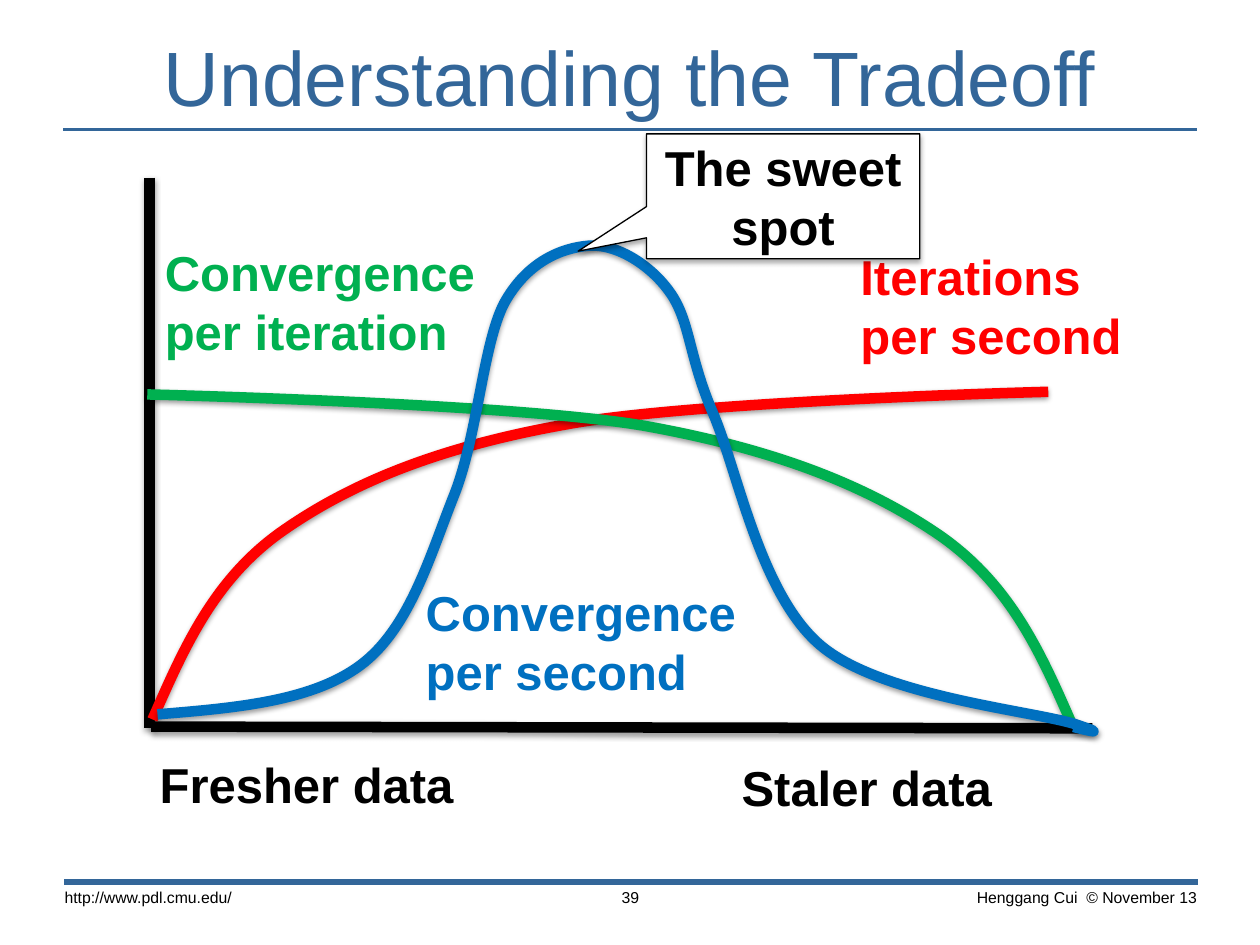
"""Builds the slide about the tradeoff between fresh and stale data."""
from dataclasses import dataclass
from typing import Optional

from lxml.etree import SubElement
from pptx import Presentation
from pptx.dml.color import RGBColor
from pptx.enum.shapes import MSO_CONNECTOR, MSO_SHAPE
from pptx.enum.text import MSO_ANCHOR, PP_ALIGN
from pptx.oxml.ns import qn
from pptx.util import Pt

STEEL = RGBColor(0x33, 0x66, 0x99)
BLACK = RGBColor(0, 0, 0)
WHITE = RGBColor(0xFF, 0xFF, 0xFF)
RED = RGBColor(0xFF, 0, 0)
GREEN = RGBColor(0, 0xB0, 0x50)
BLUE = RGBColor(0, 0x70, 0xC0)
FONT = "Arial"

Point = tuple[float, float]


@dataclass
class Rule:
    start: Point
    end: Point
    color: RGBColor
    weight: float
    shadow_opacity: int = 0


@dataclass
class Curve:
    color: RGBColor
    start: Point
    segments: list[tuple[Point, Point, Point]]


@dataclass
class Label:
    text: str
    left: float
    top: float
    width: float
    height: float
    color: RGBColor = BLACK
    size: float = 28
    bold: bool = True
    align: PP_ALIGN = PP_ALIGN.LEFT
    side_inset: float = 7.2
    end_inset: float = 3.6
    wrap: bool = False


def footer(text: str, left: float, width: float, height: float, align: PP_ALIGN) -> Label:
    """Describe one small text below the lower rule."""
    return Label(text, left, 503.1, width, height, size=9, bold=False, align=align,
                 side_inset=7.9, end_inset=4.3, wrap=True)


RULES = [
    Rule((36, 74), (684, 74), STEEL, 2),
    Rule((36.7, 503.8), (684.7, 503.8), STEEL, 3.5),
    Rule((85.5, 101.5), (85.5, 416.2), BLACK, 6, 38),
    Rule((624.2, 416.2), (86.4, 415.2), BLACK, 6, 38),
]

CURVES = [
    Curve(RED, (87.1, 411.1), [
        ((104.4, 372.2), (121, 332.6), (159.8, 304.6)),
        ((199.4, 276.5), (249.8, 255.6), (323.3, 242.6)),
        ((396.7, 229), (599, 223.9), (599, 223.9)),
    ]),
    Curve(GREEN, (612, 412.6), [
        ((594.7, 373), (577.4, 334.1), (537.1, 306)),
        ((496.1, 277.9), (444.2, 257), (368.6, 243.4)),
        ((293, 230.4), (84.2, 225.4), (84.2, 225.4)),
    ]),
    Curve(BLUE, (90, 408.2), [
        ((133.9, 404.6), (177.8, 401), (205.9, 380.2)),
        ((234, 359.3), (245.5, 318.2), (259.2, 283.7)),
        ((272.9, 249.8), (275.8, 197.3), (288, 173.5)),
        ((301, 149.8), (320.4, 141.8), (336.2, 140.4)),
        ((351.4, 139), (370.8, 150.5), (382.3, 166.3)),
        ((394.6, 182.9), (393.1, 203), (407.5, 236.2)),
        ((421.9, 270), (434.2, 339.1), (468.7, 368.6)),
        ((503.3, 398.2), (590.4, 406.1), (614.9, 414)),
        ((638.6, 421.9), (613.4, 415.4), (613.4, 415.4)),
    ]),
]

LABELS = [
    footer("Henggang Cui  © November 13", 508.9, 182.9, 30.2, PP_ALIGN.RIGHT),
    footer("http://www.pdl.cmu.edu/", 29, 180, 30.2, PP_ALIGN.LEFT),
    footer("39", 290, 140.4, 16.6, PP_ALIGN.CENTER),
    Label("Fresher data", 84.2, 427.7, 184.3, 41),
    Label("Staler data", 416.7, 429.1, 159.1, 41),
    Label("Iterations\nper second", 484.6, 137.5, 165.6, 74.9, RED),
    Label("Convergence\nper iteration", 87.1, 134.9, 193.7, 74.9, GREEN),
    Label("Convergence\nper second", 236.2, 329.3, 201.6, 74.9, BLUE),
]


def set_shadow(shape, opacity: int) -> None:
    """Give the shape a soft downward shadow, or none at zero opacity."""
    effects = SubElement(shape.element.spPr, qn("a:effectLst"))
    if opacity:
        shadow = SubElement(effects, qn("a:outerShdw"), blurRad=str(Pt(3.1)),
                            dist=str(Pt(1.6)), dir="5400000", rotWithShape="0")
        tint = SubElement(shadow, qn("a:srgbClr"), val=str(BLACK))
        SubElement(tint, qn("a:alpha"), val=str(opacity * 1000))


def set_line(shape, color: RGBColor, weight: float) -> None:
    """Set the colour and weight of an outline."""
    shape.line.color.rgb = color
    shape.line.width = Pt(weight)


def format_text(frame, color: RGBColor, size: float, bold: bool,
                align: Optional[PP_ALIGN]) -> None:
    """Format every paragraph and run in the frame."""
    for para in frame.paragraphs:
        para.alignment = align
        for span in para.runs:
            span.font.name = FONT
            span.font.size = Pt(size)
            span.font.bold = bold
            span.font.color.rgb = color


def draw_rule(page, rule: Rule) -> None:
    """Draw a straight line."""
    ends = [Pt(value) for value in (*rule.start, *rule.end)]
    line = page.shapes.add_connector(MSO_CONNECTOR.STRAIGHT, *ends)
    set_line(line, rule.color, rule.weight)
    set_shadow(line, rule.shadow_opacity)


def draw_curve(page, curve: Curve) -> None:
    """Draw an open curve of cubic segments with a shadow."""
    builder = page.shapes.build_freeform(Pt(curve.start[0]), Pt(curve.start[1]))
    ends = [(Pt(x), Pt(y)) for _, _, (x, y) in curve.segments]
    builder.add_line_segments(ends, close=False)
    shape = builder.convert_to_shape()
    straights = list(shape.element.spPr.iter(qn("a:lnTo")))
    for straight, segment in zip(straights, curve.segments):
        bend = SubElement(straight.getparent(), qn("a:cubicBezTo"))
        for x, y in segment:
            SubElement(bend, qn("a:pt"), x=str(Pt(x) - shape.left), y=str(Pt(y) - shape.top))
        straight.getparent().remove(straight)
    shape.fill.background()
    set_line(shape, curve.color, 6)
    set_shadow(shape, 38)


def draw_label(page, label: Label) -> None:
    """Draw a text box."""
    box = page.shapes.add_textbox(Pt(label.left), Pt(label.top), Pt(label.width), Pt(label.height))
    frame = box.text_frame
    frame.word_wrap = label.wrap
    frame.margin_left = frame.margin_right = Pt(label.side_inset)
    frame.margin_top = frame.margin_bottom = Pt(label.end_inset)
    frame.text = label.text
    format_text(frame, label.color, label.size, label.bold, label.align)


def draw_callout(page) -> None:
    """Draw the callout that points at the peak."""
    callout = page.shapes.add_shape(MSO_SHAPE.RECTANGULAR_CALLOUT,
                                    Pt(369.4), Pt(76.5), Pt(156.2), Pt(71.3))
    callout.adjustments[0] = -0.75
    callout.adjustments[1] = 0.44
    callout.fill.solid()
    callout.fill.fore_color.rgb = WHITE
    set_line(callout, BLACK, 0.75)
    set_shadow(callout, 35)
    frame = callout.text_frame
    frame.word_wrap = True
    frame.vertical_anchor = MSO_ANCHOR.MIDDLE
    frame.text = "The sweet spot"
    format_text(frame, BLACK, 28, True, PP_ALIGN.CENTER)


def draw_title(page) -> None:
    """Fill and place the title."""
    title = page.shapes.title
    title.left, title.top, title.width, title.height = Pt(0), Pt(16.2), Pt(720), Pt(54)
    title.text_frame.text = "Understanding the Tradeoff"
    title.text_frame.vertical_anchor = MSO_ANCHOR.MIDDLE
    format_text(title.text_frame, STEEL, 44, False, PP_ALIGN.CENTER)


deck = Presentation()
deck.slide_width, deck.slide_height = Pt(720), Pt(540)
page = deck.slides.add_slide(deck.slide_layouts[5])
draw_title(page)
for items, draw in ((RULES, draw_rule), (CURVES, draw_curve), (LABELS, draw_label)):
    for item in items:
        draw(page, item)
draw_callout(page)
deck.save("out.pptx")
